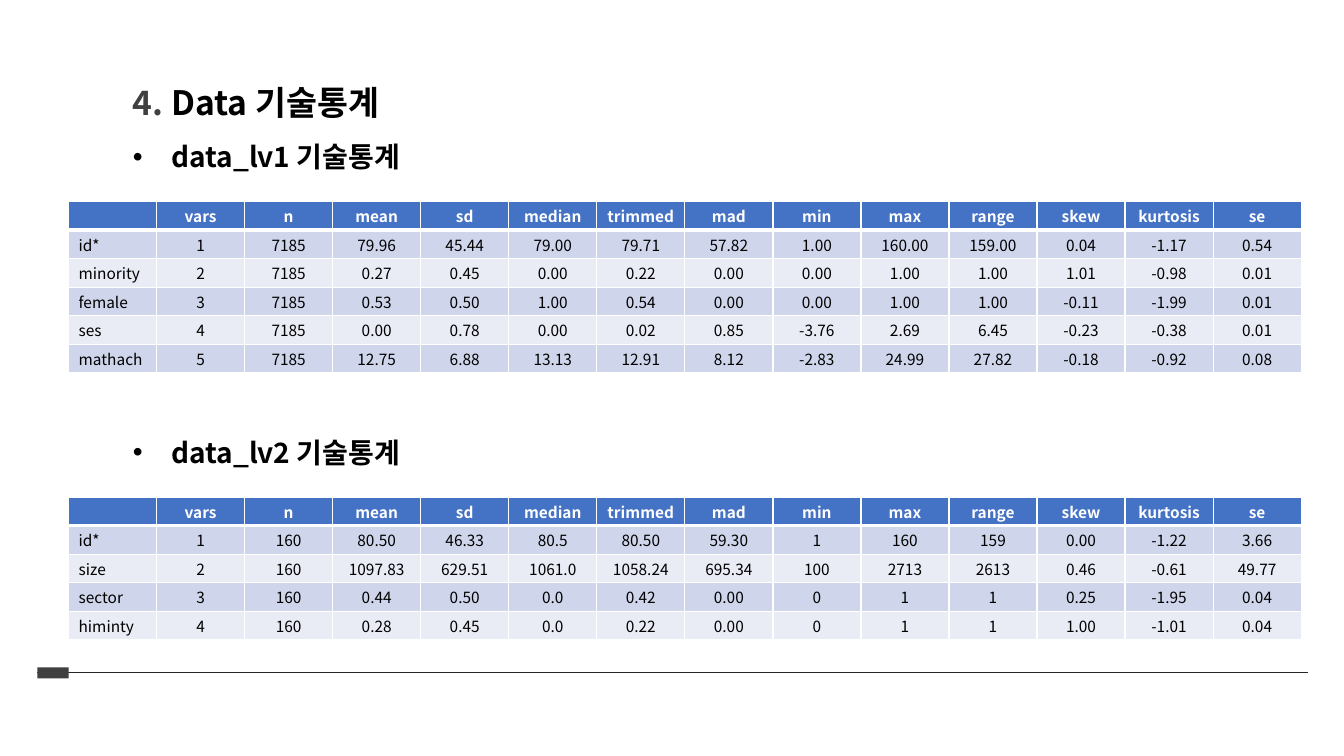
from dataclasses import dataclass

from lxml.etree import SubElement
from pptx import Presentation
from pptx.dml.color import RGBColor
from pptx.enum.shapes import MSO_CONNECTOR, MSO_SHAPE
from pptx.enum.text import MSO_ANCHOR, PP_ALIGN
from pptx.oxml.ns import qn
from pptx.util import Inches, Pt


@dataclass
class Theme:
    font: str = "Noto Sans CJK KR"
    black: str = "000000"
    white: str = "FFFFFF"
    gray: str = "404040"
    rule: str = "262626"
    header: str = "4472C4"
    bands: tuple = ("CFD5EA", "E9EBF5")
    title_size: int = 24
    heading_size: int = 20
    cell_size: int = 11


theme = Theme()


def style_paragraph(paragraph, size, color, bold):
    font = paragraph.font
    font.size = Pt(size)
    font.bold = bold
    font.color.rgb = RGBColor.from_string(color)
    font.name = theme.font
    properties = paragraph._p.pPr.find(qn("a:defRPr"))
    SubElement(properties, qn("a:ea"), typeface=theme.font)


def add_heading_box(left, top, width, height):
    shape = slide.shapes.add_textbox(Inches(left), Inches(top), Inches(width), Inches(height))
    shape.text_frame.word_wrap = True
    paragraph = shape.text_frame.paragraphs[0]
    paragraph.line_spacing = 0.85
    return paragraph


columns = ["", "vars", "n", "mean", "sd", "median", "trimmed", "mad", "min", "max",
           "range", "skew", "kurtosis", "se"]
level_one_rows = [
    "id* 1 7185 79.96 45.44 79.00 79.71 57.82 1.00 160.00 159.00 0.04 -1.17 0.54",
    "minority 2 7185 0.27 0.45 0.00 0.22 0.00 0.00 1.00 1.00 1.01 -0.98 0.01",
    "female 3 7185 0.53 0.50 1.00 0.54 0.00 0.00 1.00 1.00 -0.11 -1.99 0.01",
    "ses 4 7185 0.00 0.78 0.00 0.02 0.85 -3.76 2.69 6.45 -0.23 -0.38 0.01",
    "mathach 5 7185 12.75 6.88 13.13 12.91 8.12 -2.83 24.99 27.82 -0.18 -0.92 0.08",
]
level_two_rows = [
    "id* 1 160 80.50 46.33 80.5 80.50 59.30 1 160 159 0.00 -1.22 3.66",
    "size 2 160 1097.83 629.51 1061.0 1058.24 695.34 100 2713 2613 0.46 -0.61 49.77",
    "sector 3 160 0.44 0.50 0.0 0.42 0.00 0 1 1 0.25 -1.95 0.04",
    "himinty 4 160 0.28 0.45 0.0 0.22 0.00 0 1 1 1.00 -1.01 0.04",
]
sections = [
    ("data_lv1 기술통계", 1.39, 2, 1.7, level_one_rows),
    ("data_lv2 기술통계", 4.32, 4.93, 1.42, level_two_rows),
]

presentation = Presentation()
presentation.slide_width = Inches(13.33)
presentation.slide_height = Inches(7.5)
slide = presentation.slides.add_slide(presentation.slide_layouts[6])

footer_line = slide.shapes.add_connector(
    MSO_CONNECTOR.STRAIGHT, Inches(0.37), Inches(6.67), Inches(12.97), Inches(6.67))
footer_line.line.color.rgb = RGBColor.from_string(theme.rule)
footer_line.line.width = Pt(0.5)
SubElement(footer_line._element.spPr, qn("a:effectLst"))

footer_block = slide.shapes.add_shape(
    MSO_SHAPE.RECTANGLE, Inches(0.37), Inches(6.62), Inches(0.31), Inches(0.11))
footer_block.shadow.inherit = False
footer_block.fill.solid()
footer_block.fill.fore_color.rgb = RGBColor.from_string(theme.gray)
footer_block.line.fill.background()

title = add_heading_box(1.22, 0.83, 9.53, 0.5)
number = title.add_run()
number.text = "4. "
number.font.color.rgb = RGBColor.from_string(theme.gray)
title.add_run().text = "Data 기술통계"
style_paragraph(title, theme.title_size, theme.black, True)

for heading_text, heading_top, table_top, table_height, rows in sections:
    records = [columns] + [row.split() for row in rows]
    table = slide.shapes.add_table(
        len(records), len(columns), Inches(0.68), Inches(table_top),
        Inches(12.23), Inches(table_height)).table

    for row_index, record in enumerate(records):
        is_header = row_index == 0
        fill_color = theme.header if is_header else theme.bands[(row_index - 1) % 2]
        for column_index, value in enumerate(record):
            cell = table.cell(row_index, column_index)
            cell.margin_top = cell.margin_bottom = Inches(0.03)
            cell.vertical_anchor = MSO_ANCHOR.MIDDLE
            cell_properties = cell._tc.get_or_add_tcPr()
            for side in ("lnL", "lnR", "lnT", "lnB"):
                is_heavy = (is_header and side == "lnB") or (row_index == 1 and side == "lnT")
                border = SubElement(cell_properties, qn(f"a:{side}"),
                                    w=str(Pt(3 if is_heavy else 1)))
                border_fill = SubElement(border, qn("a:solidFill"))
                SubElement(border_fill, qn("a:srgbClr"), val=theme.white)
            cell.fill.solid()
            cell.fill.fore_color.rgb = RGBColor.from_string(fill_color)

            paragraph = cell.text_frame.paragraphs[0]
            paragraph.alignment = PP_ALIGN.CENTER if column_index else PP_ALIGN.LEFT
            if value:
                paragraph.add_run().text = value
            else:
                SubElement(paragraph._p, qn("a:endParaRPr"), sz=str(theme.cell_size * 100))
            style_paragraph(paragraph, theme.cell_size,
                            theme.white if is_header else theme.black, is_header)

    heading = add_heading_box(1.22, heading_top, 10.52, 1.19)
    heading.add_run().text = heading_text
    heading_properties = heading._p.get_or_add_pPr()
    heading_properties.set("marL", str(Inches(0.38)))
    heading_properties.set("indent", str(Inches(-0.38)))
    SubElement(heading_properties, qn("a:buFont"), typeface="Arial")
    SubElement(heading_properties, qn("a:buChar"), char="•")
    style_paragraph(heading, theme.heading_size, theme.black, True)

presentation.save("out.pptx")
